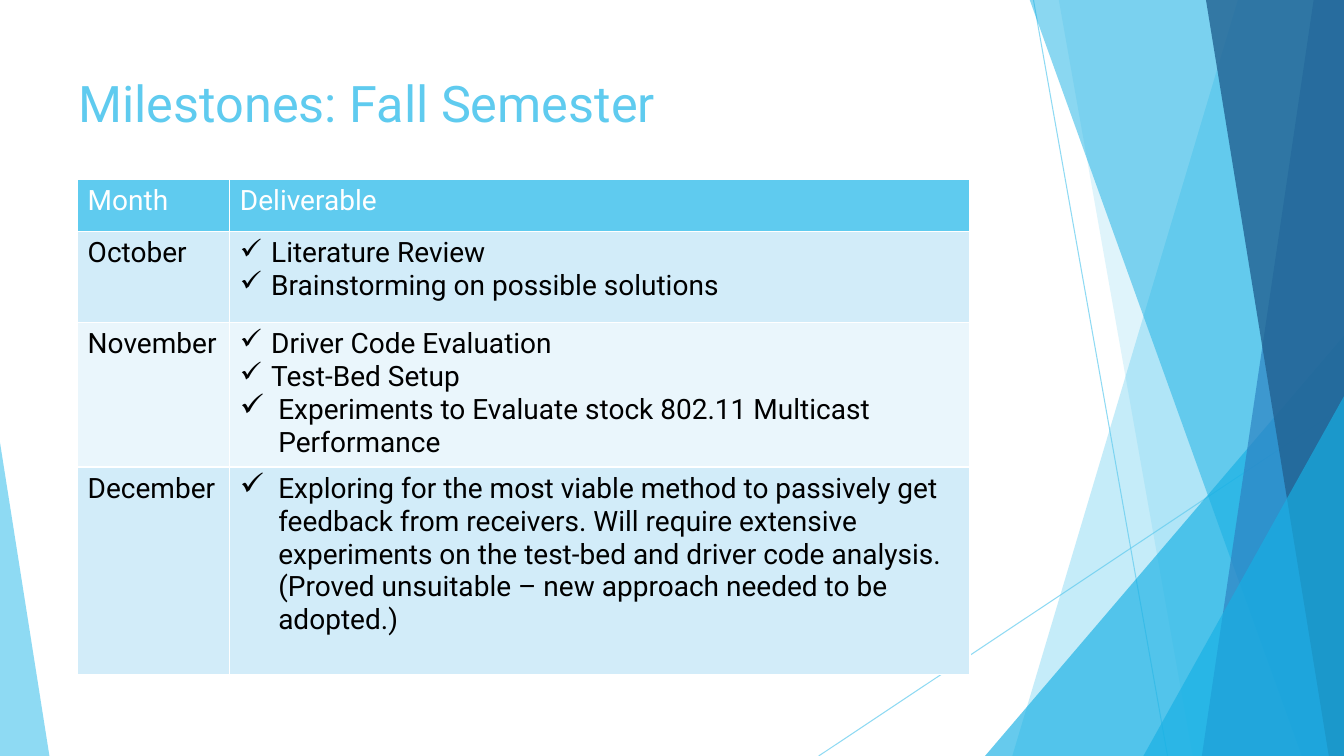
from dataclasses import dataclass

from lxml.etree import SubElement
from pptx import Presentation
from pptx.dml.color import RGBColor
from pptx.enum.shapes import MSO_CONNECTOR as CONN, MSO_SHAPE as SHAPE
from pptx.enum.text import MSO_ANCHOR as ANCHOR
from pptx.oxml.ns import qn
from pptx.util import Inches, Pt

SKY = RGBColor(0x5F, 0xCB, 0xEF)
CYAN = RGBColor(0x17, 0xB0, 0xE4)
BLUE = RGBColor(0x2E, 0x83, 0xC3)
NAVY = RGBColor(0x22, 0x62, 0x92)
BAND_DARK = RGBColor(0xD2, 0xEC, 0xF9)
BAND_LIGHT = RGBColor(0xEA, 0xF6, 0xFC)
WHITE = RGBColor(0xFF, 0xFF, 0xFF)
BLACK = RGBColor(0, 0, 0)
FONT = "Roboto"
WIDTH, HEIGHT, TOP = 13.33, 7.5, -0.01


@dataclass
class Ray:
    start: tuple[float, float]
    end: tuple[float, float]


@dataclass
class Shard:
    """A band from a slanted left edge to the right edge of the slide."""
    top_x: float
    bottom_x: float
    color: RGBColor
    alpha: int


@dataclass
class Wedge:
    left: float
    top: float
    width: float
    apex: float
    color: RGBColor
    alpha: int


@dataclass
class Item:
    text: str
    indent: float = 0.31
    bullet_size: int = 100


@dataclass
class Milestone:
    month: str
    items: list[Item]
    height: float
    band: RGBColor


RAYS = [Ray((10.25, 0), (11.58, HEIGHT)), Ray((WIDTH, 4.03), (8.12, HEIGHT))]
FACETS = [
    Shard(12.28, 10.04, SKY, 36),
    Shard(10.5, 11.83, SKY, 20),
    Wedge(9.77, 3.33, 3.56, 1, CYAN, 66),
    Shard(10.21, 12.91, CYAN, 50),
    Shard(13.03, 11.92, BLUE, 70),
    Shard(11.96, 13.18, NAVY, 80),
    Wedge(11.34, 3.93, 1.99, 1, CYAN, 66),
    Wedge(0, 4.39, 0.49, 0, SKY, 70),
]
MILESTONES = [
    Milestone("October", [
        Item("Literature Review"),
        Item("Brainstorming on possible solutions"),
    ], 0.9, BAND_DARK),
    Milestone("November", [
        Item("Driver Code Evaluation"),
        Item("Test-Bed Setup"),
        Item("Experiments to Evaluate stock 802.11 Multicast Performance", 0.38, 110),
    ], 1.4, BAND_LIGHT),
    Milestone("December", [
        Item("Exploring for the most viable method to passively get feedback from "
             "receivers. Will require extensive experiments on the test-bed and driver "
             "code analysis. (Proved unsuitable – new approach needed to be adopted.)",
             0.38, 110),
    ], 2.06, BAND_DARK),
]


def set_alpha(fill_parent, percent: int) -> None:
    color = fill_parent.find(qn("a:solidFill"))[0]
    SubElement(color, qn("a:alpha"), val=str(percent * 1000))


def add_ray(shapes, ray: Ray) -> None:
    line = shapes.add_connector(CONN.STRAIGHT, *map(Inches, ray.start + ray.end))
    line.line.color.rgb = SKY
    line.line.width = Pt(0.75)
    sp_pr = line._element.spPr
    set_alpha(sp_pr.find(qn("a:ln")), 70)
    SubElement(sp_pr, qn("a:effectLst"))


def add_facet(shapes, facet: Shard | Wedge) -> None:
    if isinstance(facet, Shard):
        builder = shapes.build_freeform(Inches(facet.top_x), Inches(TOP))
        corners = [(WIDTH, TOP), (WIDTH, HEIGHT), (facet.bottom_x, HEIGHT)]
        builder.add_line_segments([(Inches(x), Inches(y)) for x, y in corners], close=True)
        sp = builder.convert_to_shape()
    else:
        sp = shapes.add_shape(SHAPE.ISOSCELES_TRIANGLE, Inches(facet.left), Inches(facet.top),
                              Inches(facet.width), Inches(HEIGHT - facet.top))
        sp.adjustments[0] = facet.apex
    sp.shadow.inherit = False
    sp.fill.solid()
    sp.fill.fore_color.rgb = facet.color
    sp.line.fill.background()
    set_alpha(sp._element.spPr, facet.alpha)


def write(p, text: str, *, size: float = 20, color: RGBColor = BLACK) -> None:
    r = p.add_run()
    r.text = text
    r.font.name = FONT
    r.font.size = Pt(size)
    r.font.bold = False
    r.font.color.rgb = color


def add_check(p, item: Item) -> None:
    p_pr = p._p.get_or_add_pPr()
    p_pr.set("marL", str(Inches(item.indent)))
    p_pr.set("indent", str(-Inches(item.indent)))
    SubElement(p_pr, qn("a:buSzPct"), val=str(item.bullet_size * 1000))
    SubElement(p_pr, qn("a:buChar"), char="✓")


def style_cell(cell, color: RGBColor) -> None:
    tc_pr = cell._tc.get_or_add_tcPr()
    for side in "LRTB":
        ln = SubElement(tc_pr, qn(f"a:ln{side}"), w=str(Pt(1)))
        SubElement(SubElement(ln, qn("a:solidFill")), qn("a:srgbClr"), val=str(WHITE))
    cell.fill.solid()
    cell.fill.fore_color.rgb = color


def add_title(shapes, text: str) -> None:
    box = shapes.add_textbox(Inches(0.68), Inches(0.67), Inches(9.4), Inches(0.9))
    tf = box.text_frame
    tf.word_wrap = True
    tf.vertical_anchor = ANCHOR.TOP
    write(tf.paragraphs[0], text, size=36, color=SKY)


def add_milestones(shapes) -> None:
    heights = [0.52] + [m.height for m in MILESTONES]
    table = shapes.add_table(len(heights), 2, Inches(0.77), Inches(1.78),
                             Inches(8.85), Inches(sum(heights))).table
    for column, width in zip(table.columns, (1.51, 7.34)):
        column.width = Inches(width)
    for row, height in zip(table.rows, heights):
        row.height = Inches(height)
    for col, heading in enumerate(("Month", "Deliverable")):
        cell = table.cell(0, col)
        style_cell(cell, SKY)
        write(cell.text_frame.paragraphs[0], heading, color=WHITE)
    for row, milestone in enumerate(MILESTONES, 1):
        month, deliverable = table.cell(row, 0), table.cell(row, 1)
        for cell in (month, deliverable):
            style_cell(cell, milestone.band)
        write(month.text_frame.paragraphs[0], milestone.month)
        tf = deliverable.text_frame
        for i, item in enumerate(milestone.items):
            p = tf.add_paragraph() if i else tf.paragraphs[0]
            add_check(p, item)
            write(p, item.text)


def main() -> None:
    prs = Presentation()
    prs.slide_width, prs.slide_height = Inches(WIDTH), Inches(HEIGHT)
    shapes = prs.slides.add_slide(prs.slide_layouts[6]).shapes
    for ray in RAYS:
        add_ray(shapes, ray)
    for facet in FACETS:
        add_facet(shapes, facet)
    add_title(shapes, "Milestones: Fall Semester")
    add_milestones(shapes)
    prs.save("out.pptx")


if __name__ == "__main__":
    main()
